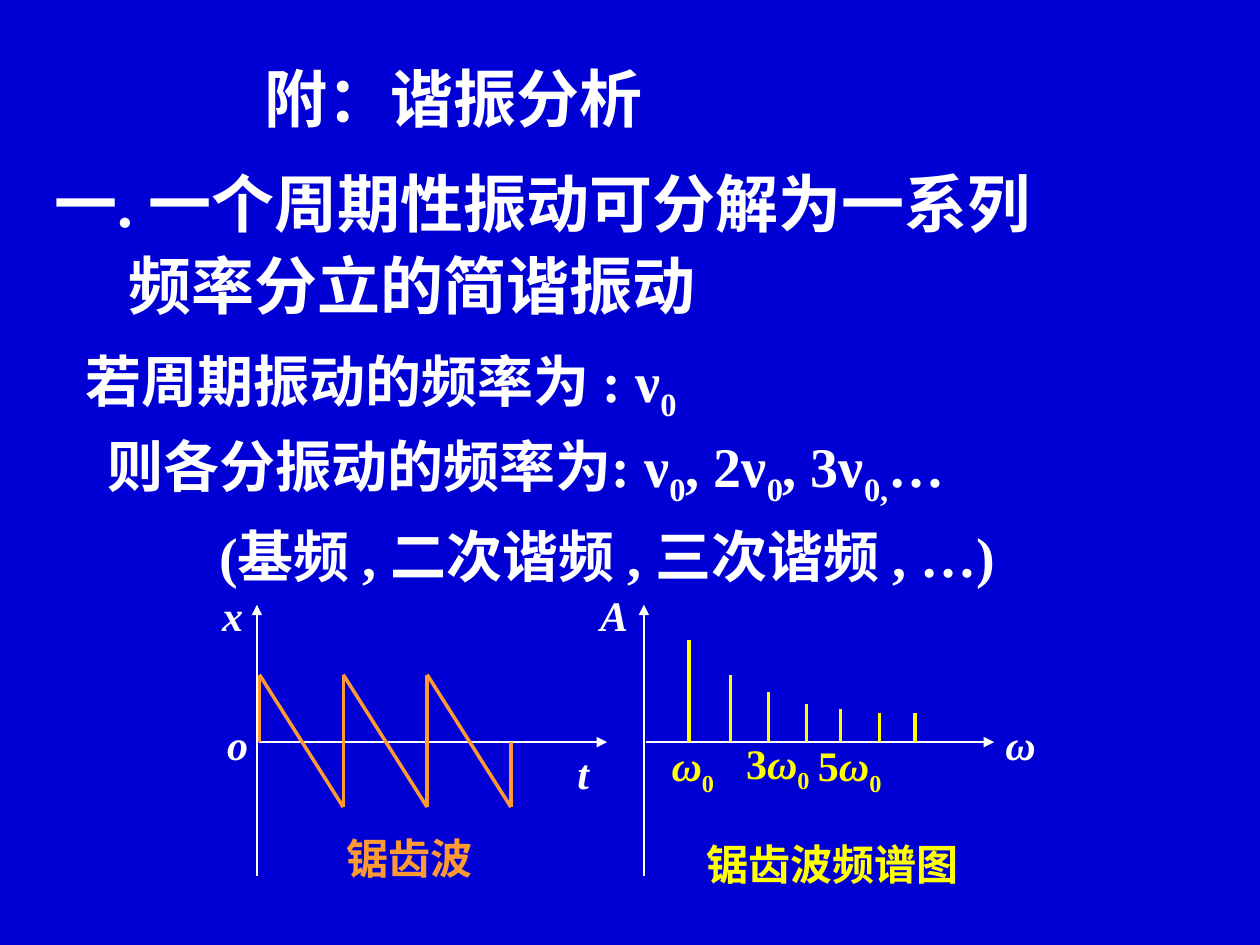
from pptx import Presentation
from pptx.dml.color import RGBColor
from pptx.enum.shapes import MSO_CONNECTOR
from pptx.enum.text import MSO_ANCHOR, MSO_AUTO_SIZE, PP_ALIGN
from pptx.util import Cm, Pt
from lxml.etree import SubElement
from pptx.oxml.ns import qn

WHITE, GOLD, ORANGE = "FFFFFF", "FFFF00", "FF9933"
hue = RGBColor.from_string


def write(box, place, rows, size, color=WHITE, inset=None):
    """Each row is a list of (text, style): i = italic, s = subscript."""
    box.left, box.top, box.width, box.height = map(Cm, place)
    frame = box.text_frame
    frame.word_wrap = True
    frame.auto_size = MSO_AUTO_SIZE.NONE
    frame.vertical_anchor = MSO_ANCHOR.TOP
    if inset is not None:
        frame.margin_left = frame.margin_right = Cm(inset)
        frame.margin_top = frame.margin_bottom = Cm(inset)
    for n, row in enumerate(rows):
        para = frame.add_paragraph() if n else frame.paragraphs[0]
        para.alignment = PP_ALIGN.JUSTIFY
        para.space_before = Pt(0)
        font = para.font
        font.name, font.size, font.bold = "Times New Roman", Pt(size), True
        font.color.rgb = hue(color)
        for text, style in row:
            run = para.add_run()
            run.text = text
            if style == "i":
                run.font.italic = True
            if style == "s":
                run._r.get_or_add_rPr().set("baseline", "-25000")
    return frame.paragraphs


def draw(group, x1, y1, x2, y2, color, width=2, arrow=None):
    line = group.shapes.add_connector(
        MSO_CONNECTOR.STRAIGHT, Cm(x1), Cm(y1), Cm(x2), Cm(y2))
    line.line.color.rgb = hue(color)
    line.line.width = Pt(width)
    if arrow:
        SubElement(line.line._get_or_add_ln(), qn(arrow)).set("type", "triangle")
    SubElement(line._element.spPr, qn("a:effectLst"))


deck = Presentation()
deck.slide_width, deck.slide_height = Cm(25.4), Cm(19.05)
slide = deck.slides.add_slide(deck.slide_layouts[1])
slide.background.fill.solid()
slide.background.fill.fore_color.rgb = hue("0000D5")
title, body = slide.placeholders

# Title and main statement
write(title, (5.08, 1.07, 10.36, 1.78), [[("附：谐振分析", "")]], 36)
paras = write(body, (0.84, 3.18, 22.02, 3.45),
              [[("一. 一个周期性振动可分解为一系列", "")],
               [("频率分立的简谐振动", "")]], 36)
paras[1].space_before = Pt(4)
for para, dent in zip(paras, (0, 1.5)):
    props = para._p.get_or_add_pPr()
    props.set("marL", "0")
    props.set("indent", str(Cm(dent)))
    SubElement(props, qn("a:buNone"))
    # Bullet settings come before the default run settings
    props.append(props.find(qn("a:defRPr")))

# Frequencies
write(slide.shapes.add_textbox(0, 0, 0, 0), (1.47, 6.86, 17.98, 1.6),
      [[("若周期振动的频率为 : ν", ""), ("0", "s")]], 32)
paras = write(slide.shapes.add_textbox(0, 0, 0, 0), (1.91, 8.26, 19.69, 3.51),
              [[("则各分振动的频率为: ν", ""), ("0", "s"), (", 2ν", ""),
                ("0", "s"), (", 3ν", ""), ("0,", "s"), ("…", "")],
               [("(基频 , 二次谐频 , 三次谐频 , …)", "")]], 32)
for para in paras:
    para.alignment = PP_ALIGN.LEFT
    para.line_spacing = 1.2
paras[1]._p.get_or_add_pPr().set("indent", str(Cm(2.26)))

# Axes of both graphs
BASE = 14.96
wave, bars = [slide.shapes.add_group_shape() for _ in range(2)]
for group, left in ((wave, 5.18), (bars, 12.98)):
    draw(group, left, 12.19, left, 17.65, WHITE, 0.75, "a:headEnd")
    draw(group, left + 0.05, BASE, left + 7.06, BASE, WHITE, 0.75, "a:tailEnd")

# Sawtooth
START, STEP, TOP, LOW = 5.23, 1.69, 13.6, 16.27
for n in range(3):
    x = START + n * STEP
    draw(wave, x, TOP, x, BASE, ORANGE)
    draw(wave, x, TOP, x + STEP, LOW, ORANGE)
    draw(wave, x + STEP, BASE, x + STEP, LOW, ORANGE)

# Spectrum
for x, top in ((13.89, 12.9), (14.73, 13.61), (15.49, 13.94), (16.26, 14.2),
               (16.94, 14.3), (17.73, 14.38), (18.44, 14.38)):
    draw(bars, x, top, x, BASE, GOLD)

# Labels
omega = [("ω", "i"), ("0", "s")]
for group, place, row, color in (
        (wave, (4.45, 11.86, 0.86, 0.91), [("x", "i")], WHITE),
        (wave, (4.55, 14.45, 0.79, 1.09), [("o", "i")], WHITE),
        (wave, (11.61, 15.04, 0.86, 0.97), [("t", "i")], WHITE),
        (wave, (6.96, 16.76, 3.63, 1.17), [("锯齿波", "")], ORANGE),
        (bars, (12.07, 11.86, 0.79, 1.04), [("A", "i")], WHITE),
        (bars, (20.24, 14.45, 0.91, 0.94), [("ω", "i")], WHITE),
        (bars, (13.51, 14.88, 1.02, 0.89), omega, GOLD),
        (bars, (15.01, 14.83, 1.8, 1.04), [("3", "")] + omega, GOLD),
        (bars, (16.46, 14.88, 1.37, 1.14), [("5", "")] + omega, GOLD),
        (bars, (14.22, 16.87, 6.25, 1.14), [("锯齿波频谱图", "")], GOLD)):
    box = group.shapes.add_textbox(*map(Cm, place))
    write(box, place, [row], 24, color, 0.03)

deck.save("out.pptx")
